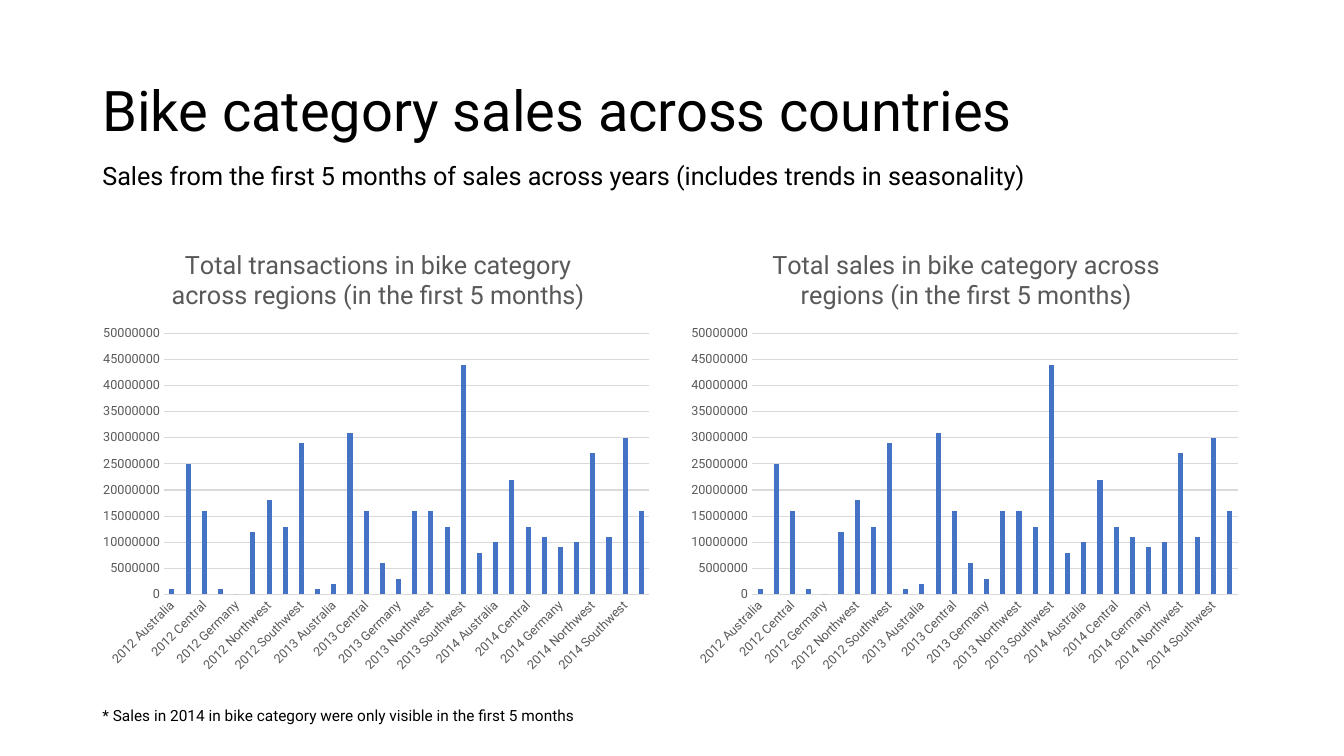
from dataclasses import dataclass
from itertools import product

import pptx
import pptx.chart.data
import pptx.dml.color
import pptx.enum.chart
import pptx.enum.text
import pptx.oxml
import pptx.oxml.ns
import pptx.util
from pptx.util import Cm

FONT = "Roboto"
COLORS = {"text": "000000", "label": "595959", "grid": "D9D9D9", "bar": "4472C4"}

YEARS = (2012, 2013, 2014)
REGIONS = ("Australia", "Canada", "Central", "France", "Germany", "Northeast",
           "Northwest", "Southeast", "Southwest", "United Kingdom")
SALES_MILLIONS = (
    1, 25, 16, 1, 0, 12, 18, 13, 29, 1,
    2, 31, 16, 6, 3, 16, 16, 13, 44, 8,
    10, 22, 13, 11, 9, 10, 27, 11, 30, 16,
)
MILLION = 1_000_000


@dataclass(frozen=True)
class Caption:
    text: str
    top: float
    width: float
    height: float
    size: float
    anchor: pptx.enum.text.MSO_ANCHOR = pptx.enum.text.MSO_ANCHOR.TOP
    line_spacing: float = 1.0


@dataclass(frozen=True)
class RegionChart:
    title: str
    left: float


LEFT = 2.33
CHART_TOP, CHART_WIDTH, CHART_HEIGHT = 5.79, 14.4, 11.35
PLOT_FRACTIONS = {"x": 0.125, "y": 0.23, "w": 0.85, "h": 0.58}

CAPTIONS = (
    Caption("Bike category sales across countries", 1.01, 29.21, 3.68, 40,
            pptx.enum.text.MSO_ANCHOR.MIDDLE, 0.9),
    Caption("Sales from the first 5 months of sales across years "
            "(includes trends in seasonality)", 3.91, 30.63, 1.03, 18),
    Caption("* Sales in 2014 in bike category were only visible in the first 5 months",
            17.68, 30.63, 0.73, 11),
)
CHARTS = (
    RegionChart("Total transactions in bike category across regions "
                "(in the first 5 months)", LEFT),
    RegionChart("Total sales in bike category across regions "
                "(in the first 5 months)", 17.15),
)


def rgb(name: str) -> pptx.dml.color.RGBColor:
    return pptx.dml.color.RGBColor.from_string(COLORS[name])


def style_font(font, size: float, color: str) -> None:
    font.name = FONT
    font.size = pptx.util.Pt(size)
    font.bold = False
    font.color.rgb = rgb(color)


def style_line(line) -> None:
    line.color.rgb = rgb("grid")
    line.width = pptx.util.Pt(0.75)


def add_caption(slide, caption: Caption) -> None:
    box = slide.shapes.add_textbox(Cm(LEFT), Cm(caption.top),
                                   Cm(caption.width), Cm(caption.height))
    frame = box.text_frame
    frame.word_wrap = True
    frame.vertical_anchor = caption.anchor
    paragraph = frame.paragraphs[0]
    paragraph.line_spacing = caption.line_spacing
    run = paragraph.add_run()
    run.text = caption.text
    style_font(run.font, caption.size, "text")


def place_plot(chart) -> None:
    """Fix the inner plot area at set fractions of the chart."""
    plot_area = chart.element.xpath("c:chart/c:plotArea")[0]
    for layout in plot_area.xpath("c:layout"):
        plot_area.remove(layout)
    modes = "".join(f'<c:{axis}Mode val="edge"/>' for axis in "xy")
    sizes = "".join(f'<c:{key} val="{share}"/>' for key, share in PLOT_FRACTIONS.items())
    plot_area.insert(0, pptx.oxml.parse_xml(
        f'<c:layout {pptx.oxml.ns.nsdecls("c")}><c:manualLayout>'
        f'<c:layoutTarget val="inner"/>{modes}{sizes}</c:manualLayout></c:layout>'))


def add_region_chart(slide, region_chart: RegionChart) -> None:
    sales = pptx.chart.data.CategoryChartData(number_format="General")
    sales.categories = [f"{year} {region}" for year, region in product(YEARS, REGIONS)]
    sales.add_series("Series 1", [value * MILLION for value in SALES_MILLIONS])
    chart = slide.shapes.add_chart(
        pptx.enum.chart.XL_CHART_TYPE.COLUMN_CLUSTERED, Cm(region_chart.left),
        Cm(CHART_TOP), Cm(CHART_WIDTH), Cm(CHART_HEIGHT), sales).chart
    chart.has_legend = False
    chart.font.name = "Calibri"
    chart.font.size = pptx.util.Pt(10)
    chart.font.color.rgb = rgb("text")

    chart.has_title = True
    title = chart.chart_title.text_frame.paragraphs[0].add_run()
    title.text = region_chart.title
    style_font(title.font, 18, "label")
    chart.chart_title.include_in_layout = False

    columns = chart.plots[0]
    columns.vary_by_categories = False
    columns.gap_width = 219
    columns.overlap = -27
    fill = columns.series[0].format.fill
    fill.solid()
    fill.fore_color.rgb = rgb("bar")

    for axis in (chart.category_axis, chart.value_axis):
        axis.major_tick_mark = pptx.enum.chart.XL_TICK_MARK.NONE
        axis.minor_tick_mark = pptx.enum.chart.XL_TICK_MARK.NONE
        style_font(axis.tick_labels.font, 9, "label")
    style_line(chart.category_axis.format.line)
    chart.element.xpath(".//c:catAx/c:txPr/a:bodyPr")[0].set("rot", "-2700000")

    amounts = chart.value_axis
    amounts.minimum_scale, amounts.maximum_scale = 0, 50 * MILLION
    amounts.major_unit = 5 * MILLION
    amounts.format.line.fill.background()
    amounts.has_major_gridlines = True
    style_line(amounts.major_gridlines.format.line)
    place_plot(chart)


def main() -> None:
    deck = pptx.Presentation()
    deck.slide_width, deck.slide_height = Cm(33.87), Cm(19.05)
    slide = deck.slides.add_slide(deck.slide_layouts[6])
    for caption in CAPTIONS:
        add_caption(slide, caption)
    for region_chart in CHARTS:
        add_region_chart(slide, region_chart)
    deck.save("out.pptx")


if __name__ == "__main__":
    main()
